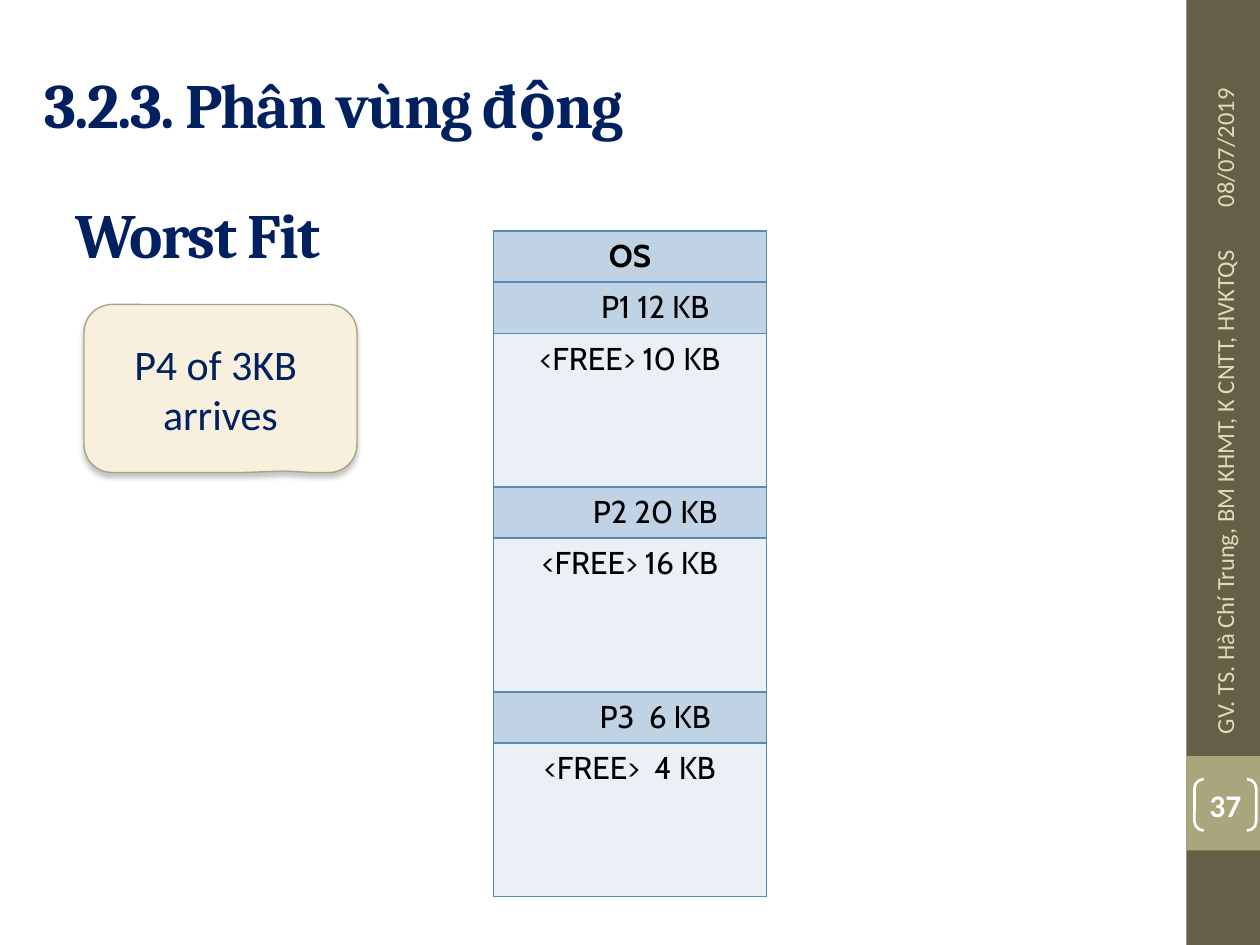
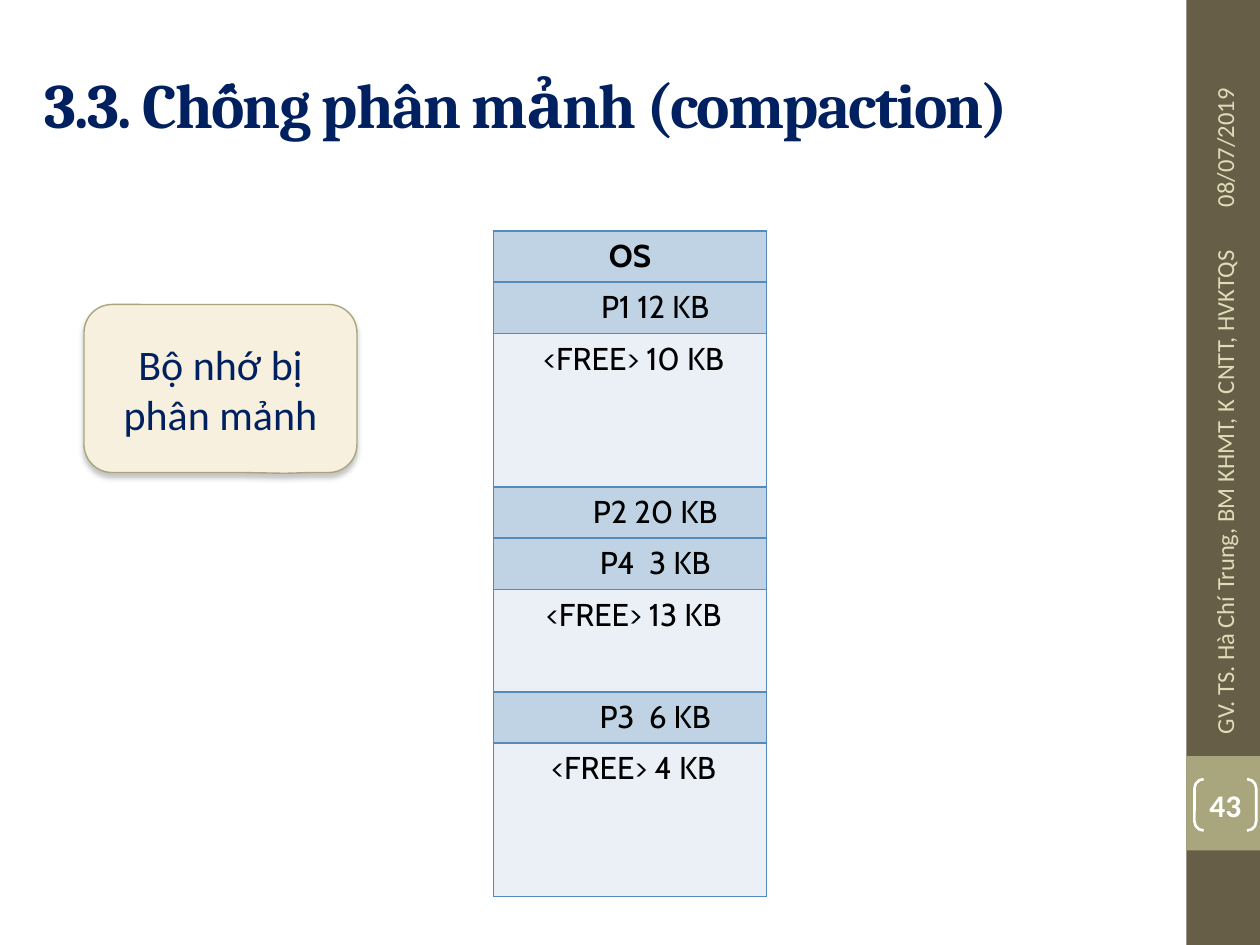
import dataclasses
import typing

import lxml.etree
import pptx
import pptx.dml.color
import pptx.enum.shapes
import pptx.enum.text
import pptx.oxml.ns
import pptx.util

COLOURS = {
    "band": "675E47",
    "accent": "A9A57C",
    "footer": "DFDCB7",
    "heading": "002060",
    "callout": "F7F0DE",
    "shadow": "808080",
    "used": "BFD3E4",
    "free": "EAF0F6",
    "border": "558BB8",
    "black": "000000",
    "white": "FFFFFF",
}
UNIT = pptx.util.Inches(10) / 120
SHAPES = pptx.enum.shapes.MSO_SHAPE
ALIGN = pptx.enum.text.PP_ALIGN
ANCHOR = pptx.enum.text.MSO_ANCHOR
DATE = "08/07/2019"
LECTURER = "GV. TS. Hà Chí Trung, BM KHMT, K CNTT, HVKTQS"
HEADING = {"size": 36, "font": "Cambria", "colour": "heading", "bold": True, "tracking": -1}
FOOTER = {"size": 14, "font": "Calibri", "colour": "footer"}


@dataclasses.dataclass(frozen=True)
class Box:
    column: float
    row: float
    columns: float
    rows: float

    def lengths(self) -> tuple[int, ...]:
        return tuple(round(value * UNIT) for value in dataclasses.astuple(self))


@dataclasses.dataclass(frozen=True)
class Segment:
    label: str
    rows: int = 1
    fill: str = "used"
    indent: float = 0.4
    bold: bool = False


@dataclasses.dataclass(frozen=True)
class MemorySlide:
    title: str
    number: int
    message: str
    pointer: float
    segments: list[Segment]
    subtitle: str = ""


def free(label: str, rows: int, indent: float = 0) -> Segment:
    return Segment(label, rows, "free", indent)


OS = Segment("OS", indent=0, bold=True)
TITLE_BOX = Box(3, 3.6, 107, 12.4)
SUBTITLE_BOX = Box(6, 17, 35, 10.4)
CALLOUT_BOX = Box(8, 29, 26, 16)
TABLE_BOX = Box(47, 22, 26, 63.4)
NUMBER_BOX = Box(113.76, 74.2, 5.88, 4.9)
BANDS = [(Box(113, 0, 7, 90), "band"), (Box(113, 72, 7, 9), "accent")]
FOOTERS = [(Box(106.1, 8, 21, 4.8), DATE), (Box(91.6, 43.7, 50, 4.8), LECTURER)]
SLIDES = [
    MemorySlide(
        "3.2.3. Phân vùng động", 37, "P4 of 3KB \narrives", 0.491,
        [OS, Segment("P1 12 KB"), free("<FREE> 10 KB", 3),
         Segment("P2 20 KB"), free("<FREE> 16 KB", 3),
         Segment("P3  6 KB"), free("<FREE>  4 KB", 3)],
        "Worst Fit",
    ),
    MemorySlide(
        "3.3. Chống phân mảnh (compaction)", 43, "Bộ nhớ bị phân mảnh", 0.505,
        [OS, Segment("P1 12 KB"), free("<FREE> 10 KB", 3, 0.06),
         Segment("P2 20 KB"), Segment("P4  3 KB"), free("<FREE> 13 KB", 2, 0.06),
         Segment("P3  6 KB"), free("<FREE> 4 KB", 3, 0.06)],
    ),
]


def rgb(name: str) -> pptx.dml.color.RGBColor:
    return pptx.dml.color.RGBColor.from_string(COLOURS[name])


def add_xml(parent: typing.Any, tag: str, **attributes: typing.Any) -> typing.Any:
    values = {key: str(value) for key, value in attributes.items()}
    return lxml.etree.SubElement(parent, pptx.oxml.ns.qn(tag), values)


def write(frame: typing.Any, text: str, *, size: float, font: str, colour: str,
          bold: bool = False, align: typing.Any = ALIGN.LEFT, tracking: float = 0) -> None:
    for index, line in enumerate(text.split("\n")):
        paragraph = frame.add_paragraph() if index else frame.paragraphs[0]
        paragraph.alignment = align
        run = paragraph.add_run()
        run.text = line
        run.font.size = pptx.util.Pt(size)
        run.font.name = font
        run.font.bold = bold
        run.font.color.rgb = rgb(colour)
        if tracking:
            run.font._element.set("spc", str(round(tracking * 100)))


def prepare(frame: typing.Any) -> None:
    frame.word_wrap = True
    frame.auto_size = pptx.enum.text.MSO_AUTO_SIZE.NONE
    frame.vertical_anchor = ANCHOR.MIDDLE


def add_text(slide: typing.Any, box: Box, text: str, rotation: float = 0,
             **text_format: typing.Any) -> None:
    shape = slide.shapes.add_textbox(*box.lengths())
    shape.rotation = rotation
    prepare(shape.text_frame)
    write(shape.text_frame, text, **text_format)


def add_preset(slide: typing.Any, kind: typing.Any, box: Box, fill: str = "",
               line: str = "", width: float = 1, adjustments: typing.Sequence[float] = ()) -> typing.Any:
    shape = slide.shapes.add_shape(kind, *box.lengths())
    shape.shadow.inherit = False
    if fill:
        shape.fill.solid()
        shape.fill.fore_color.rgb = rgb(fill)
    else:
        shape.fill.background()
    if line:
        shape.line.color.rgb = rgb(line)
        shape.line.width = pptx.util.Pt(width)
    else:
        shape.line.fill.background()
    for index, value in enumerate(adjustments):
        shape.adjustments[index] = value
    prepare(shape.text_frame)
    return shape


def add_title(slide: typing.Any, text: str) -> None:
    title = slide.shapes.title
    title.left, title.top, title.width, title.height = TITLE_BOX.lengths()
    prepare(title.text_frame)
    write(title.text_frame, text, **HEADING)


def add_callout(slide: typing.Any, message: str, pointer: float) -> None:
    shape = add_preset(slide, SHAPES.ROUNDED_RECTANGULAR_CALLOUT, CALLOUT_BOX, "callout",
                       "accent", 0.79, (0.236, pointer, 0.167))
    effects = shape.element.spPr.find(pptx.oxml.ns.qn("a:effectLst"))
    shadow = add_xml(effects, "a:outerShdw", blurRad=pptx.util.Pt(3), dist=pptx.util.Pt(2.4),
                     dir=5400000, algn="ctr", rotWithShape=0)
    colour = add_xml(shadow, "a:srgbClr", val=COLOURS["shadow"])
    add_xml(colour, "a:alpha", val=45000)
    write(shape.text_frame, message, size=24, font="Calibri", colour="heading", align=ALIGN.CENTER)


def add_borders(cell: typing.Any, top: bool, bottom: bool) -> None:
    properties = cell._tc.get_or_add_tcPr()
    for side, visible in (("L", True), ("R", True), ("T", top), ("B", bottom)):
        border = add_xml(properties, f"a:ln{side}", w=pptx.util.Pt(1))
        if visible:
            add_xml(add_xml(border, "a:solidFill"), "a:srgbClr", val=COLOURS["border"])
        else:
            add_xml(border, "a:noFill")


def add_memory_table(slide: typing.Any, segments: list[Segment]) -> None:
    row_count = sum(segment.rows for segment in segments)
    table = slide.shapes.add_table(row_count, 1, *TABLE_BOX.lengths()).table
    table.first_row = False
    table.horz_banding = False
    row = 0
    for segment in segments:
        for offset in range(segment.rows):
            cell = table.cell(row + offset, 0)
            add_borders(cell, offset == 0, offset == segment.rows - 1)
            cell.fill.solid()
            cell.fill.fore_color.rgb = rgb(segment.fill)
        first = table.cell(row, 0)
        first.margin_left = pptx.util.Inches(0.1 + segment.indent)
        write(first.text_frame, segment.label, size=18, font="Cabin", colour="black",
              bold=segment.bold, align=ALIGN.CENTER)
        row += segment.rows


def add_footers(slide: typing.Any, number: int) -> None:
    for box, text in FOOTERS:
        add_text(slide, box, text, rotation=270, **FOOTER)
    bracket = add_preset(slide, SHAPES.DOUBLE_BRACKET, NUMBER_BOX, line="white", width=1.5,
                         adjustments=(0.179,))
    frame = bracket.text_frame
    frame.margin_left = frame.margin_right = frame.margin_top = frame.margin_bottom = 0
    write(frame, str(number), size=18, font="Calibri", colour="white", bold=True, align=ALIGN.CENTER)


def add_bands(slide: typing.Any, layout: typing.Any) -> None:
    for box, fill in BANDS:
        band = add_preset(slide, SHAPES.RECTANGLE, box, fill)
        layout.shapes.element.append(band.element)


def main() -> None:
    presentation = pptx.Presentation()
    presentation.slide_width = round(120 * UNIT)
    presentation.slide_height = round(90 * UNIT)
    layout = presentation.slide_layouts[5]
    for index, content in enumerate(SLIDES):
        slide = presentation.slides.add_slide(layout)
        if index == 0:
            add_bands(slide, layout)
        add_title(slide, content.title)
        if content.subtitle:
            add_text(slide, SUBTITLE_BOX, content.subtitle, **HEADING)
        add_footers(slide, content.number)
        add_memory_table(slide, content.segments)
        add_callout(slide, content.message, content.pointer)
    presentation.save("out.pptx")


if __name__ == "__main__":
    main()
